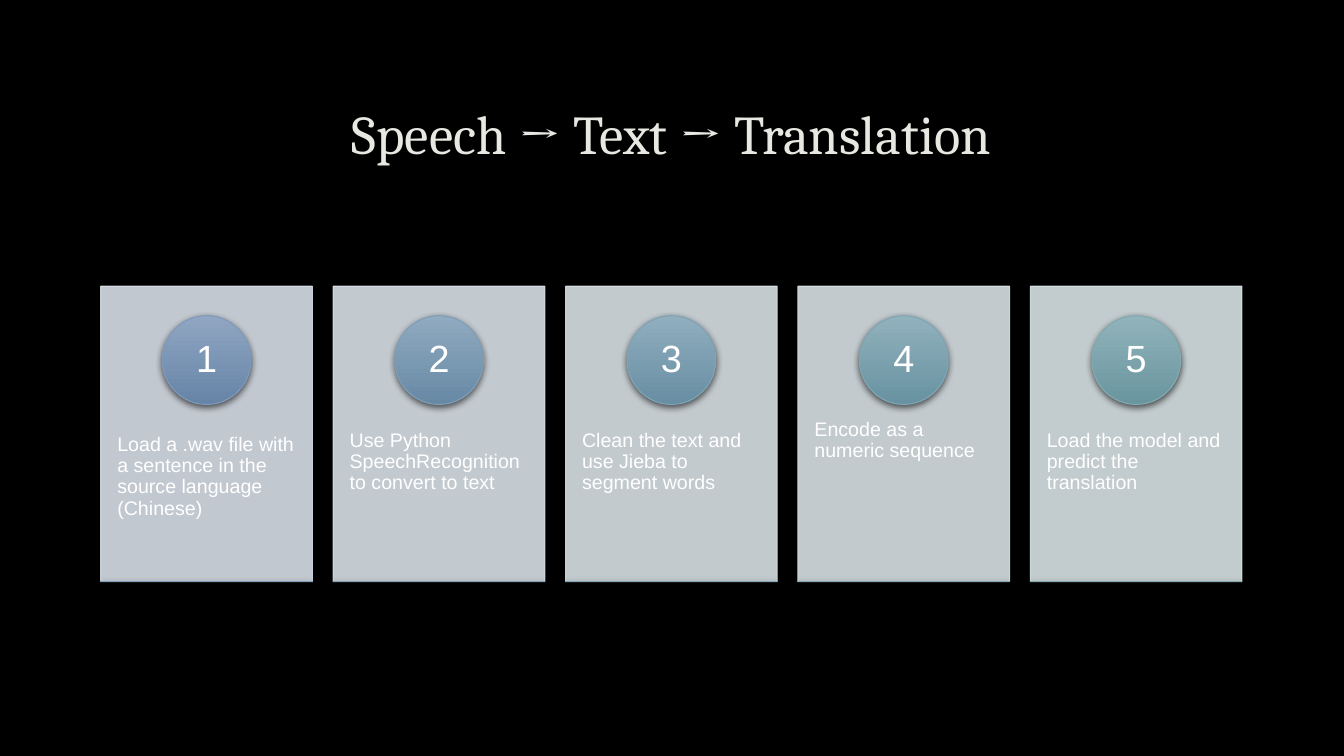
import pptx
import pptx.dml.color
import pptx.enum.shapes
import pptx.enum.text
import pptx.oxml
import pptx.oxml.ns
import pptx.util

TITLE = "Speech → Text → Translation"
# text, card colour, circle (top, bottom, line), base strip (top, bottom, line)
STEPS = [
    ("Load a .wav file with a sentence in the source language (Chinese)", "D8DEE7",
     ("90A6C2", "6684A7", "7F9ABA"), ("90A8C1", "6786A6", "7F9CB9")),
    ("Use Python SpeechRecognition to convert to text", "D8DFE6",
     ("90AAC0", "6789A5", "7F9FB8"), ("90ACBF", "678BA4", "80A1B7")),
    ("Clean the text and use Jieba to segment words", "D8E0E5",
     ("90AEBE", "688EA3", "80A3B6"), ("90AFBE", "6890A2", "80A5B5")),
    ("Encode as a numeric sequence", "D8E1E5",
     ("91B1BD", "6892A1", "80A6B4"), ("91B2BC", "6994A0", "81A8B3")),
    ("Load the model and predict the translation", "D8E2E4",
     ("91B3BB", "69959F", "81AAB2"), ("91B5BA", "6A979E", "81ABB1")),
]

LEFT, TOP, PITCH = 72, 204.5, 166
CARD_WIDTH, CARD_HEIGHT = 151.2, 211
CIRCLE, CIRCLE_DROP = 63.4, 21
TEXT_DROP, TEXT_HEIGHT = 80, 126.7

SHAPES = pptx.enum.shapes.MSO_SHAPE
ALIGN = pptx.enum.text.PP_ALIGN
ANCHOR = pptx.enum.text.MSO_ANCHOR


def rgb(colour):
    return pptx.dml.color.RGBColor.from_string(colour)


def points(*lengths):
    return [pptx.util.Pt(length) for length in lengths]


def write(box, text, size, font="Arial", colour="FFFFFF", align=ALIGN.LEFT,
          anchor=ANCHOR.TOP, insets=(0, 0)):
    frame = box.text_frame
    frame.word_wrap = True
    frame.vertical_anchor = anchor
    frame.margin_left = frame.margin_right = pptx.util.Pt(insets[0])
    frame.margin_top = frame.margin_bottom = pptx.util.Pt(insets[1])
    para = frame.paragraphs[0]
    para.alignment = align
    para.line_spacing = 0.9
    span = para.add_run()
    span.text = text
    span.font.name = font
    span.font.size = pptx.util.Pt(size)
    span.font.color.rgb = rgb(colour)


def add_shape(page, kind, place, line):
    shape = page.shapes.add_shape(kind, *points(*place))
    shape.shadow.inherit = False
    shape.line.color.rgb = rgb(line)
    shape.line.width = pptx.util.Pt(0.75)
    return shape


def add_card(page, place, colour):
    """Add a flat card whose fill and line are 90% opaque."""
    card = add_shape(page, SHAPES.RECTANGLE, place, colour)
    card.fill.solid()
    card.fill.fore_color.rgb = rgb(colour)
    for tone in card._element.spPr.iter(pptx.oxml.ns.qn("a:srgbClr")):
        tone.append(pptx.oxml.parse_xml(
            f'<a:alpha {pptx.oxml.ns.nsdecls("a")} val="90000"/>'))


def add_raised(page, kind, place, colours):
    """Add a shape with a downward gradient and a soft shadow below it."""
    top, bottom, line = colours
    shape = add_shape(page, kind, place, line)
    shape.fill.gradient()
    shape.fill.gradient_angle = 270
    for stop, colour in zip(shape.fill.gradient_stops, (top, bottom)):
        stop.color.rgb = rgb(colour)
    effects = shape._element.spPr.find(pptx.oxml.ns.qn("a:effectLst"))
    effects.append(pptx.oxml.parse_xml(
        f'<a:outerShdw {pptx.oxml.ns.nsdecls("a")} blurRad="{pptx.util.Pt(5)}" '
        f'dist="{pptx.util.Pt(2)}" dir="5400000" rotWithShape="0">'
        '<a:srgbClr val="000000"><a:alpha val="60000"/></a:srgbClr></a:outerShdw>'))
    return shape


def main():
    deck = pptx.Presentation()
    deck.slide_width, deck.slide_height = points(960, 540)
    page = deck.slides.add_slide(deck.slide_layouts[6])
    page.background.fill.solid()
    page.background.fill.fore_color.rgb = rgb("000000")

    title = page.shapes.add_textbox(*points(LEFT, 48, 815, 99.5))
    write(title, TITLE, 39, font="Cambria", colour="E8E8E2",
          align=ALIGN.CENTER, anchor=ANCHOR.MIDDLE)

    for index, (text, card_colour, circle_colours, base_colours) in enumerate(STEPS):
        left = LEFT + index * PITCH
        add_card(page, (left, TOP, CARD_WIDTH, CARD_HEIGHT), card_colour)

        box = page.shapes.add_textbox(
            *points(left, TOP + TEXT_DROP, CARD_WIDTH, TEXT_HEIGHT))
        write(box, text, 14, insets=(11.8, 25.9))

        circle_left = left + (CARD_WIDTH - CIRCLE) / 2
        circle = add_raised(page, SHAPES.OVAL,
                            (circle_left, TOP + CIRCLE_DROP, CIRCLE, CIRCLE),
                            circle_colours)
        write(circle, str(index + 1), 27, align=ALIGN.CENTER, anchor=ANCHOR.MIDDLE)

        add_raised(page, SHAPES.RECTANGLE,
                   (left, TOP + CARD_HEIGHT, CARD_WIDTH, 0), base_colours)

    deck.save("out.pptx")


if __name__ == "__main__":
    main()
